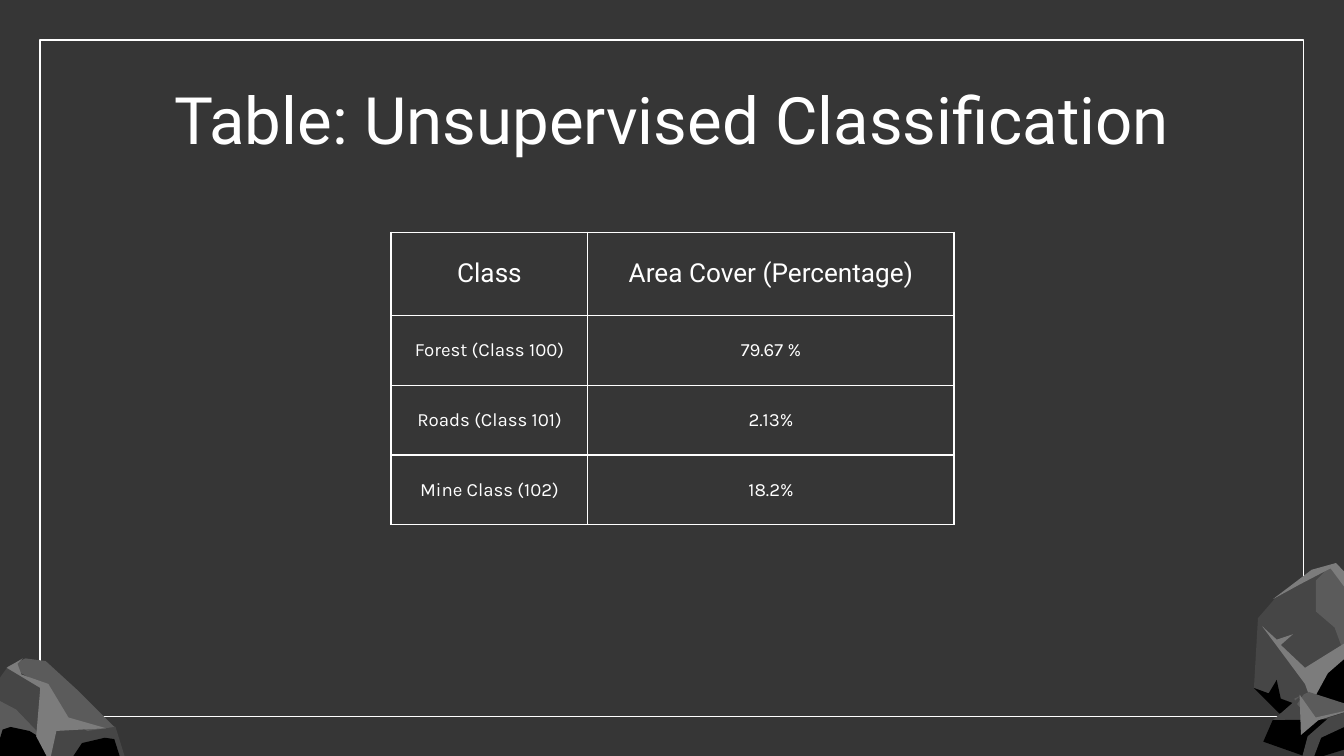
from lxml import etree
from pptx import Presentation
from pptx.dml.color import RGBColor
from pptx.enum.shapes import MSO_SHAPE
from pptx.enum.text import MSO_ANCHOR, PP_ALIGN
from pptx.oxml.ns import qn
from pptx.util import Cm, Pt

RECTANGLE = MSO_SHAPE.RECTANGLE
TOP, MIDDLE = MSO_ANCHOR.TOP, MSO_ANCHOR.MIDDLE
CENTER = PP_ALIGN.CENTER
WHITE, DARK, BLACK = "FFFFFF", "363636", "000000"
SHADE, MID, LIGHT = "464646", "5B5B5B", "7C7C7C"


def color(value):
    return RGBColor.from_string(value)


def format_text(frame, size, font_name, margin):
    frame.margin_left = frame.margin_right = Cm(margin)
    frame.margin_top = frame.margin_bottom = Cm(margin)
    para = frame.paragraphs[0]
    para.alignment = CENTER
    for span in para.runs:
        span.font.size = Pt(size)
        span.font.name = font_name
        span.font.bold = False
        span.font.color.rgb = color(WHITE)


deck = Presentation()
deck.slide_width, deck.slide_height = Cm(25.4), Cm(14.29)
page = deck.slides.add_slide(deck.slide_layouts[5])
page.background.fill.solid()
page.background.fill.fore_color.rgb = color(DARK)

border_frame = page.shapes.add_shape(RECTANGLE, Cm(0.76), Cm(0.76), Cm(23.88), Cm(12.78))
border_frame.shadow.inherit = False
border_frame.fill.background()
border_frame.line.color.rgb = color(WHITE)
border_frame.line.width = Pt(0.75)

rock_facets = [
    (SHADE, [(994, 419), (949, 445), (936, 460), (933, 512), (980, 530), (1034, 461)]),
    (MID, [(990, 421), (979, 432), (979, 455), (993, 467), (1000, 486), (1020, 465)]),
    (BLACK, [(1030, 463), (982, 497), (975, 512), (980, 530), (953, 520), (950, 506),
             (944, 516), (933, 512), (952, 531), (1022, 525)]),
    (LIGHT, [(994, 419), (976, 424), (947, 446), (967, 435), (990, 423), (1013, 454),
             (1008, 474), (971, 497), (953, 480), (962, 472), (950, 476), (939, 466),
             (971, 509), (976, 523), (988, 501), (1034, 461)]),
    (MID, [(974, 515), (963, 520), (971, 538), (1011, 527)]),
    (SHADE, [(971, 515), (947, 536), (969, 547), (976, 537), (965, 524)]),
    (BLACK, [(947, 536), (940, 552), (977, 565), (1016, 553), (1013, 535)]),
    (SHADE, [(1011, 527), (989, 534), (973, 548), (969, 563), (977, 565), (983, 549),
             (1013, 535)]),
    (LIGHT, [(967, 517), (968, 547), (981, 536), (1010, 527), (979, 534)]),
    (SHADE, [(6, 496), (-9, 517), (35, 552), (36, 580), (95, 570), (86, 541), (44, 520)]),
    (MID, [(19, 490), (6, 496), (31, 509), (44, 531), (65, 544), (85, 541), (57, 513),
           (34, 492)]),
    (BLACK, [(78, 549), (61, 553), (43, 580), (92, 572), (85, 550)]),
    (MID, [(-9, 517), (-19, 550), (-4, 564), (35, 552), (12, 528)]),
    (BLACK, [(8, 541), (2, 543), (-4, 563), (36, 580), (35, 552), (22, 544)]),
    (LIGHT, [(17, 490), (5, 497), (30, 512), (27, 548), (37, 567), (42, 544), (79, 542),
             (51, 534), (36, 509), (16, 502), (13, 494)]),
]
for shade, points in rock_facets:
    builder = page.shapes.build_freeform(*points[0], scale=Cm(2.54) / 100)
    builder.add_line_segments(points[1:], close=True)
    facet = builder.convert_to_shape()
    facet.shadow.inherit = False
    facet.fill.solid()
    facet.fill.fore_color.rgb = color(shade)
    facet.line.fill.background()

title = page.shapes.title
title.left, title.top, title.width, title.height = Cm(2), Cm(1.24), Cm(21.41), Cm(1.6)
title.text_frame.text = "Table: Unsupervised Classification"
title.text_frame.vertical_anchor = TOP
title.text_frame.word_wrap = True
format_text(title.text_frame, 35, "Roboto", 0.25)

rows = [
    ("Class", "Area Cover (Percentage)"),
    ("Forest (Class 100)", "79.67 %"),
    ("Roads (Class 101)", "2.13%"),
    ("Mine Class (102)", "18.2%"),
]
table = page.shapes.add_table(4, 2, Cm(7.39), Cm(4.39), Cm(10.64), Cm(5.53)).table
table.first_row = table.horz_banding = False
table.columns[0].width, table.columns[1].width = Cm(3.72), Cm(6.92)
for row_index, values in enumerate(rows):
    header = row_index == 0
    table.rows[row_index].height = Cm(1.57 if header else 1.32)
    for column_index, value in enumerate(values):
        cell = table.cell(row_index, column_index)
        cell.text_frame.text = value
        if header:
            format_text(cell.text_frame, 14, "Roboto", 0)
        else:
            format_text(cell.text_frame, 10, "Karla", 0.13)
        cell.vertical_anchor = MIDDLE
        properties = cell._tc.get_or_add_tcPr()
        for side in ("a:lnL", "a:lnR", "a:lnT", "a:lnB"):
            border = etree.SubElement(properties, qn(side), w=str(Pt(0.75)))
            fill = etree.SubElement(border, qn("a:solidFill"))
            etree.SubElement(fill, qn("a:srgbClr"), val=WHITE)
        cell.fill.background()

deck.save("out.pptx")
